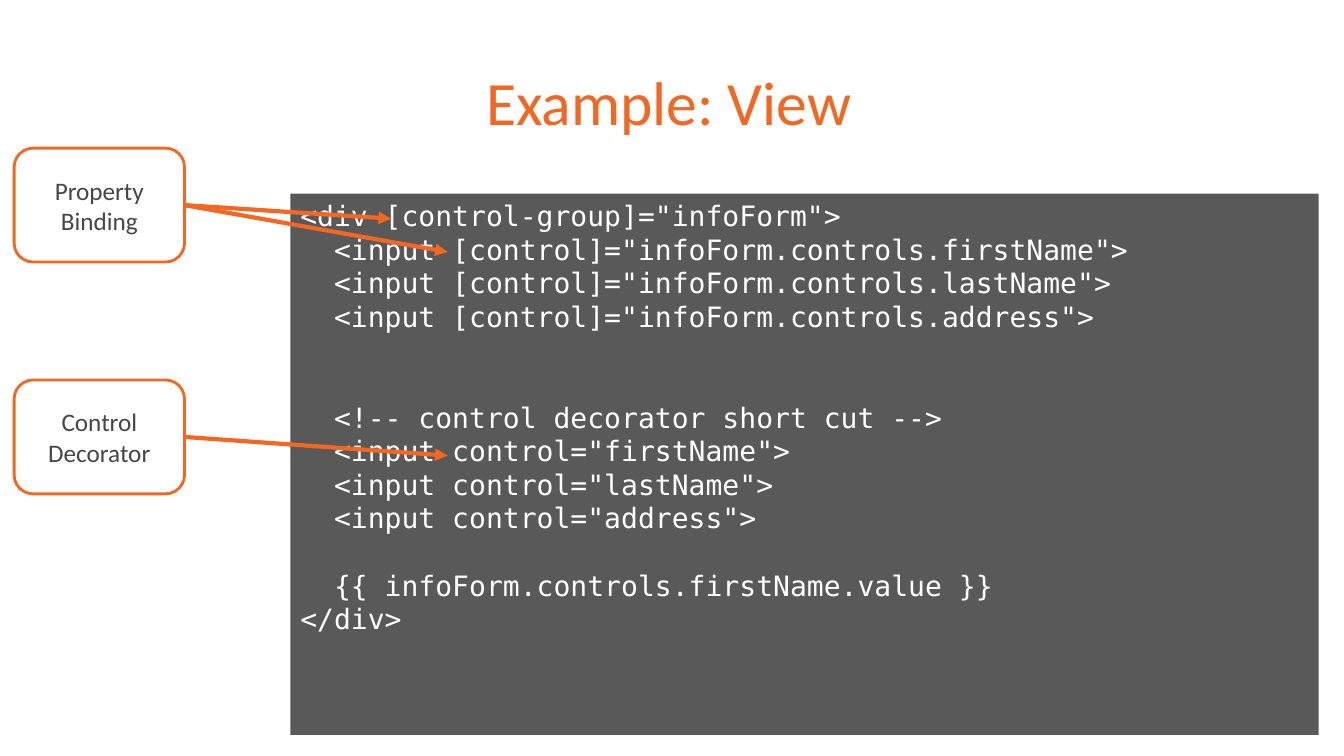
from pptx import Presentation
from pptx.dml.color import RGBColor
from pptx.enum import shapes, text
from pptx.oxml.ns import qn
from pptx.util import Inches, Pt
from lxml import etree

ORANGE = RGBColor(0xF2, 0x67, 0x22)
GREY = RGBColor(0x59, 0x59, 0x59)
INK = RGBColor(0x46, 0x45, 0x47)
WHITE = RGBColor(0xFF, 0xFF, 0xFF)

TITLE = "Example: View"
CODE_BLOCKS = [
    [
        '<div [control-group]="infoForm">',
        '  <input [control]="infoForm.controls.firstName">',
        '  <input [control]="infoForm.controls.lastName">',
        '  <input [control]="infoForm.controls.address">',
    ],
    [
        '  <!-- control decorator short cut -->',
        '  <input control="firstName">',
        '  <input control="lastName">',
        '  <input control="address">',
    ],
    [
        '  {{ infoForm.controls.firstName.value }}',
        '</div>',
    ],
]
BLOCK_GAPS = [0, 2, 1]
CALLOUTS = [
    ("Property Binding", 1.47, [(3.88, 2.17), (4.44, 2.5)]),
    ("Control Decorator", 3.77, [(4.44, 4.52)]),
]
CALLOUT_LEFT, CALLOUT_WIDTH, CALLOUT_HEIGHT = 0.14, 1.69, 1.13
CODE_LINE = 24


def style(para, font, size, color):
    for span in para.runs:
        span.font.name = font
        span.font.size = Pt(size)
        span.font.color.rgb = color


def add_box(page, preset, left, top, width, height):
    box = page.shapes.add_shape(
        preset, Inches(left), Inches(top), Inches(width), Inches(height))
    box.shadow.inherit = False
    box.text_frame.word_wrap = True
    return box


def add_title(page):
    box = page.shapes.add_textbox(
        Inches(0.68), Inches(0.2), Inches(12.01), Inches(1.72))
    frame = box.text_frame
    frame.word_wrap = True
    frame.margin_left = 0
    frame.vertical_anchor = text.MSO_ANCHOR.MIDDLE
    frame.text = TITLE
    para = frame.paragraphs[0]
    para.alignment = text.PP_ALIGN.CENTER
    para.line_spacing = 0.85
    style(para, "Calibri", 44, ORANGE)


def add_code(page):
    box = add_box(page, shapes.MSO_SHAPE.RECTANGLE, 2.88, 1.92, 10.2, 5.37)
    box.fill.solid()
    box.fill.fore_color.rgb = GREY
    box.line.fill.background()
    frame = box.text_frame
    frame.vertical_anchor = text.MSO_ANCHOR.TOP
    frame.text = "\n".join(line for block in CODE_BLOCKS for line in block)
    paragraphs = iter(frame.paragraphs)
    for block, gap in zip(CODE_BLOCKS, BLOCK_GAPS):
        for number in range(len(block)):
            para = next(paragraphs)
            para.alignment = text.PP_ALIGN.LEFT
            para.line_spacing = Pt(CODE_LINE)
            if gap and number == 0:
                para.space_before = Pt(gap * CODE_LINE)
            style(para, "DejaVu Sans Mono", 20, WHITE)


def add_callout(page, label, top):
    box = add_box(page, shapes.MSO_SHAPE.ROUNDED_RECTANGLE,
                  CALLOUT_LEFT, top, CALLOUT_WIDTH, CALLOUT_HEIGHT)
    box.fill.background()
    box.line.color.rgb = ORANGE
    box.line.width = Pt(2)
    box.text_frame.vertical_anchor = text.MSO_ANCHOR.MIDDLE
    box.text_frame.text = label
    para = box.text_frame.paragraphs[0]
    para.alignment = text.PP_ALIGN.CENTER
    style(para, "Calibri", 18, INK)


def add_arrow(page, start, end):
    arrow = page.shapes.add_connector(
        shapes.MSO_CONNECTOR.STRAIGHT, *map(Inches, start + end))
    arrow.line.color.rgb = ORANGE
    arrow.line.width = Pt(3)
    properties = arrow.element.spPr
    etree.SubElement(properties.find(qn("a:ln")), qn("a:tailEnd"), type="triangle")
    etree.SubElement(properties, qn("a:effectLst"))


def main():
    deck = Presentation()
    deck.slide_width, deck.slide_height = Inches(13.33), Inches(7.5)
    page = deck.slides.add_slide(deck.slide_layouts[6])
    add_title(page)
    add_code(page)
    for label, top, targets in CALLOUTS:
        add_callout(page, label, top)
        start = (CALLOUT_LEFT + CALLOUT_WIDTH, top + CALLOUT_HEIGHT / 2)
        for target in targets:
            add_arrow(page, start, target)
    deck.save("out.pptx")


if __name__ == "__main__":
    main()
